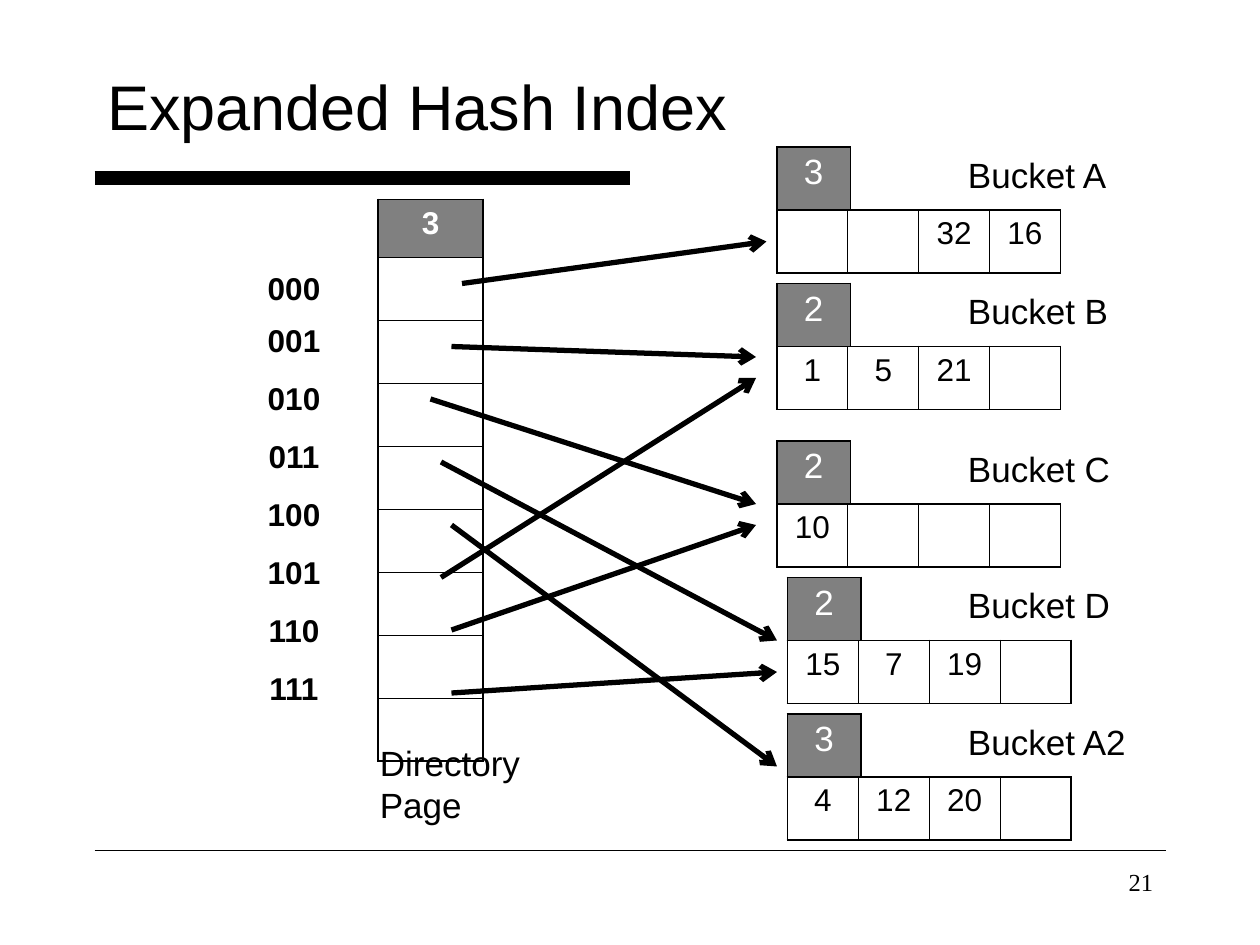
from dataclasses import dataclass

from lxml.etree import SubElement
from pptx import Presentation
from pptx.dml.color import RGBColor
from pptx.enum.shapes import MSO_CONNECTOR as Conn
from pptx.enum.text import MSO_ANCHOR as Anchor, PP_ALIGN as Align
from pptx.oxml.ns import qn
from pptx.util import Pt

COLORS = {"ink": "000000", "tag": "808080", "light": "FFFFFF"}
SANS, SERIF = "Arial", "Times New Roman"
THIN, THICK = 0.45, 1.08
ROW_H = 36
TAG_W, SLOT_W = 42, 40.5
DIR_X, DIR_Y, DIR_W, DIR_HEAD_H = 216, 114, 60, 33
LABEL_X, LABEL_W, LABEL_H, LABEL_STEP = 138, 60, 33, 33.12
BUCKET_LABEL_X, BUCKET_LABEL_W = 546, 112


@dataclass
class Bucket:
    name: str
    depth: str
    x: float
    y: float
    slots: tuple


@dataclass
class Arrow:
    x1: float
    y1: float
    x2: float
    y2: float


BUCKETS = [
    Bucket("Bucket A", "3", 444, 84, ("", "", "32", "16")),
    Bucket("Bucket B", "2", 444, 162, ("1", "5", "21", "")),
    Bucket("Bucket C", "2", 444, 252, ("10", "", "", "")),
    Bucket("Bucket D", "2", 450, 330, ("15", "7", "19", "")),
    Bucket("Bucket A2", "3", 450, 408, ("4", "12", "20", "")),
]
HASHES = [f"{i:03b}" for i in range(8)]
ARROWS = [
    Arrow(264, 162, 438, 138),
    Arrow(258, 198, 432, 204),
    Arrow(246, 228, 432, 288),
    Arrow(252, 264, 444, 366),
    Arrow(258, 300, 444, 438),
    Arrow(252, 330, 432, 216),
    Arrow(258, 360, 432, 300),
    Arrow(258, 396, 444, 384),
]


def rgb(name: str) -> RGBColor:
    return RGBColor.from_string(COLORS[name])


def style(p, size: float, color: str = "ink", bold: bool = False,
          align=Align.LEFT, font: str = SANS) -> None:
    p.alignment = align
    f = p.font
    f.name, f.size, f.bold = font, Pt(size), bold
    f.color.rgb = rgb(color)


def add_text(slide, x: float, y: float, w: float, h: float, text: str,
             size: float, **look) -> None:
    tf = slide.shapes.add_textbox(Pt(x), Pt(y), Pt(w), Pt(h)).text_frame
    tf.word_wrap = True
    tf.text = text
    for p in tf.paragraphs:
        style(p, size, **look)


def add_line(slide, a: Arrow, width: float, arrow: bool = False) -> None:
    c = slide.shapes.add_connector(Conn.STRAIGHT, Pt(a.x1), Pt(a.y1), Pt(a.x2), Pt(a.y2))
    c.line.width = Pt(width)
    c.line.color.rgb = rgb("ink")
    if arrow:
        SubElement(c.line._get_or_add_ln(), qn("a:tailEnd"), type="arrow")
    SubElement(c._element.spPr, qn("a:effectLst"))


def add_border(cell, side: str, width: float) -> None:
    tc_pr = cell._tc.get_or_add_tcPr()
    ln = SubElement(tc_pr, qn(f"a:ln{side}"), w=str(int(Pt(width))))
    fill = SubElement(ln, qn("a:solidFill"))
    SubElement(fill, qn("a:srgbClr"), val=COLORS["ink"])


def add_grid(slide, x: float, y: float, col_w: float, heights: list, rows: list,
             size: float, head: bool = False, bold: bool = False) -> None:
    n_rows, n_cols = len(rows), len(rows[0])
    table = slide.shapes.add_table(n_rows, n_cols, Pt(x), Pt(y),
                                   Pt(col_w * n_cols), Pt(sum(heights))).table
    table.first_row = table.horz_banding = False
    for col in table.columns:
        col.width = Pt(col_w)
    for i, (height, texts) in enumerate(zip(heights, rows)):
        table.rows[i].height = Pt(height)
        for j, text in enumerate(texts):
            cell = table.cell(i, j)
            tagged = head and i == 0
            edges = {"L": j == 0, "R": j == n_cols - 1, "T": i == 0, "B": i == n_rows - 1}
            for side, outer in edges.items():
                add_border(cell, side, THICK if outer else THIN)
            if tagged:
                cell.fill.solid()
                cell.fill.fore_color.rgb = rgb("tag")
            else:
                cell.fill.background()
            cell.text = text
            style(cell.text_frame.paragraphs[0], size, "light" if tagged else "ink",
                  bold, Align.CENTER)


def add_bucket(slide, b: Bucket) -> None:
    add_grid(slide, b.x, b.y + ROW_H, SLOT_W, [ROW_H], [b.slots], 18)
    add_grid(slide, b.x, b.y, TAG_W, [ROW_H], [(b.depth,)], 20, head=True)
    add_text(slide, BUCKET_LABEL_X, b.y, BUCKET_LABEL_W, 32, b.name, 20)


def add_directory(slide) -> None:
    add_grid(slide, DIR_X, DIR_Y, DIR_W, [DIR_HEAD_H] + [ROW_H] * len(HASHES),
             [("3",)] + [("",)] * len(HASHES), 18, head=True, bold=True)
    for i, bits in enumerate(HASHES):
        y = 180 + LABEL_STEP * (i - 1) if i else 150
        add_text(slide, LABEL_X, y, LABEL_W, LABEL_H, bits, 18,
                 bold=True, align=Align.CENTER)
    add_text(slide, 210, 420, 106, 55, "Directory\nPage", 20)


def main() -> None:
    prs = Presentation()
    prs.slide_width, prs.slide_height = Pt(720), Pt(540)
    slide = prs.slides.add_slide(prs.slide_layouts[5])

    add_line(slide, Arrow(54, 102, 360, 102), 8)
    add_line(slide, Arrow(54, 486, 666, 486), 1)

    title = slide.shapes.title
    title.left, title.top, title.width, title.height = Pt(54), Pt(24), Pt(612), Pt(72)
    tf = title.text_frame
    tf.text = "Expanded Hash Index"
    tf.vertical_anchor = Anchor.MIDDLE
    style(tf.paragraphs[0], 36)

    for bucket in BUCKETS:
        add_bucket(slide, bucket)
    add_directory(slide)
    for arrow in ARROWS:
        add_line(slide, arrow, 3, arrow=True)
    add_text(slide, 516, 492, 150, 36, "21", 14, align=Align.RIGHT, font=SERIF)

    prs.save("out.pptx")


if __name__ == "__main__":
    main()
